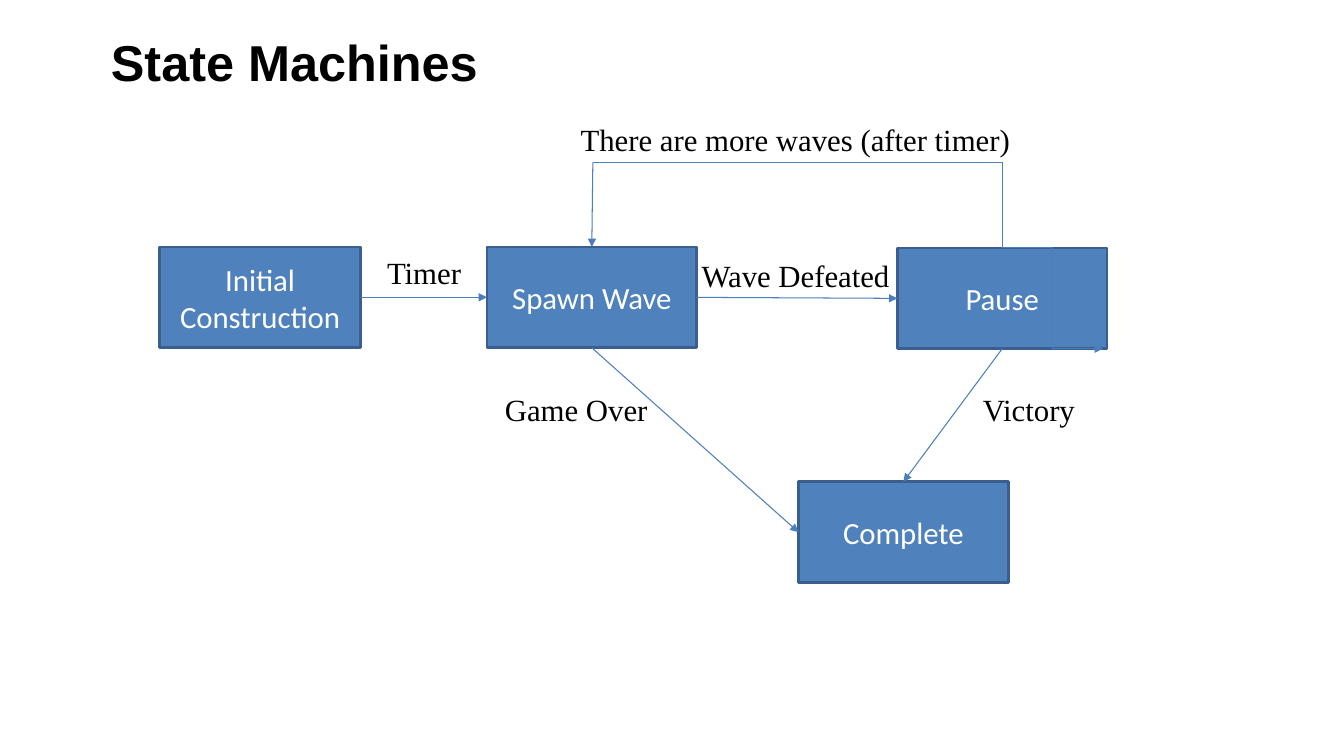
from lxml import etree
from pptx import Presentation
from pptx.dml.color import RGBColor
from pptx.enum.shapes import MSO_CONNECTOR, MSO_SHAPE
from pptx.enum.text import MSO_ANCHOR, MSO_AUTO_SIZE, PP_ALIGN
from pptx.oxml.ns import qn
from pptx.util import Inches, Pt

STRAIGHT, ELBOW = MSO_CONNECTOR.STRAIGHT, MSO_CONNECTOR.ELBOW
RECT = MSO_SHAPE.RECTANGLE
TOP, MIDDLE = MSO_ANCHOR.TOP, MSO_ANCHOR.MIDDLE
LEFT, CENTER = PP_ALIGN.LEFT, PP_ALIGN.CENTER
FIT_SHAPE, NO_FIT = MSO_AUTO_SIZE.SHAPE_TO_FIT_TEXT, MSO_AUTO_SIZE.NONE
SIDE_TOP, SIDE_LEFT, SIDE_BOTTOM, SIDE_RIGHT = range(4)


def write(tf, text, font="Times New Roman", size=22, color="000000", bold=False,
          align=LEFT, anchor=TOP, wrap=True, fit=NO_FIT):
    tf.word_wrap = wrap
    tf.auto_size = fit
    tf.vertical_anchor = anchor
    p = tf.paragraphs[0]
    p.alignment = align
    r = p.add_run()
    r.text = text
    r.font.name, r.font.size, r.font.bold = font, Pt(size), bold
    r.font.color.rgb = RGBColor.from_string(color)


def add_line(kind, x1, y1, x2, y2, arrow=True):
    c = s.shapes.add_connector(kind, Inches(x1), Inches(y1), Inches(x2), Inches(y2))
    c.line.color.rgb = RGBColor.from_string("4B7EBC")
    c.line.width = Pt(0.75)
    if arrow:
        etree.SubElement(c.line._get_or_add_ln(), qn("a:tailEnd"), type="triangle")
    etree.SubElement(c._element.spPr, qn("a:effectLst"))
    return c


prs = Presentation()
prs.slide_width, prs.slide_height = Inches(13.33), Inches(7.5)
s = prs.slides.add_slide(prs.slide_layouts[5])

title = s.shapes.title
title.left, title.top = Inches(1), Inches(0.21)
title.width, title.height = Inches(11.33), Inches(0.87)
title.text_frame.margin_top = Inches(0.1)
write(title.text_frame, "State Machines", font="Arial", size=36, bold=True)

# States
states = {}
for name, x, y, w in [
    ("Initial Construction", 1.58, 2.45, 2),
    ("Spawn Wave", 4.83, 2.45, 2.08),
    ("Pause", 8.9, 2.46, 2.08),
    ("Complete", 7.92, 4.78, 2.08),
]:
    sp = s.shapes.add_shape(RECT, Inches(x), Inches(y), Inches(w), Inches(1))
    sp.shadow.inherit = False
    sp.fill.solid()
    sp.fill.fore_color.rgb = RGBColor.from_string("4F81BD")
    sp.line.color.rgb = RGBColor.from_string("3A5F8C")
    sp.line.width = Pt(2)
    write(sp.text_frame, name, font="Calibri", color="FFFFFF", align=CENTER, anchor=MIDDLE)
    states[name] = sp

# Transitions between states
for start, start_side, end, end_side in [
    ("Spawn Wave", SIDE_BOTTOM, "Complete", SIDE_LEFT),
    ("Spawn Wave", SIDE_RIGHT, "Pause", SIDE_LEFT),
    ("Initial Construction", SIDE_RIGHT, "Spawn Wave", SIDE_LEFT),
    ("Pause", SIDE_BOTTOM, "Complete", SIDE_TOP),
]:
    c = add_line(STRAIGHT, 0, 0, 1, 1)
    c.begin_connect(states[start], start_side)
    c.end_connect(states[end], end_side)

# Loop from Pause back to Spawn Wave
add_line(ELBOW, 9.94, 2.46, 10.94, 3.46)
loop = add_line(ELBOW, 5.88, 1.61, 9.94, 2.46, arrow=False)
loop._element.spPr.find(qn("a:prstGeom")).set("prst", "bentConnector2")
loop_end = add_line(STRAIGHT, 5.88, 1.61, 5.88, 2.45)
loop_end.end_connect(states["Spawn Wave"], SIDE_TOP)

# Transition labels
for text, x, y, w in [
    ("Victory", 9.65, 3.83, 1.13),
    ("There are more waves (after timer)", 5.66, 1.15, 4.51),
    ("Wave Defeated", 6.86, 2.5, 2.09),
    ("Game Over", 4.91, 3.83, 1.63),
    ("Timer", 3.74, 2.47, 0.95),
]:
    tb = s.shapes.add_textbox(Inches(x), Inches(y), Inches(w), Inches(0.47))
    write(tb.text_frame, text, wrap=False, fit=FIT_SHAPE)

prs.save("out.pptx")
